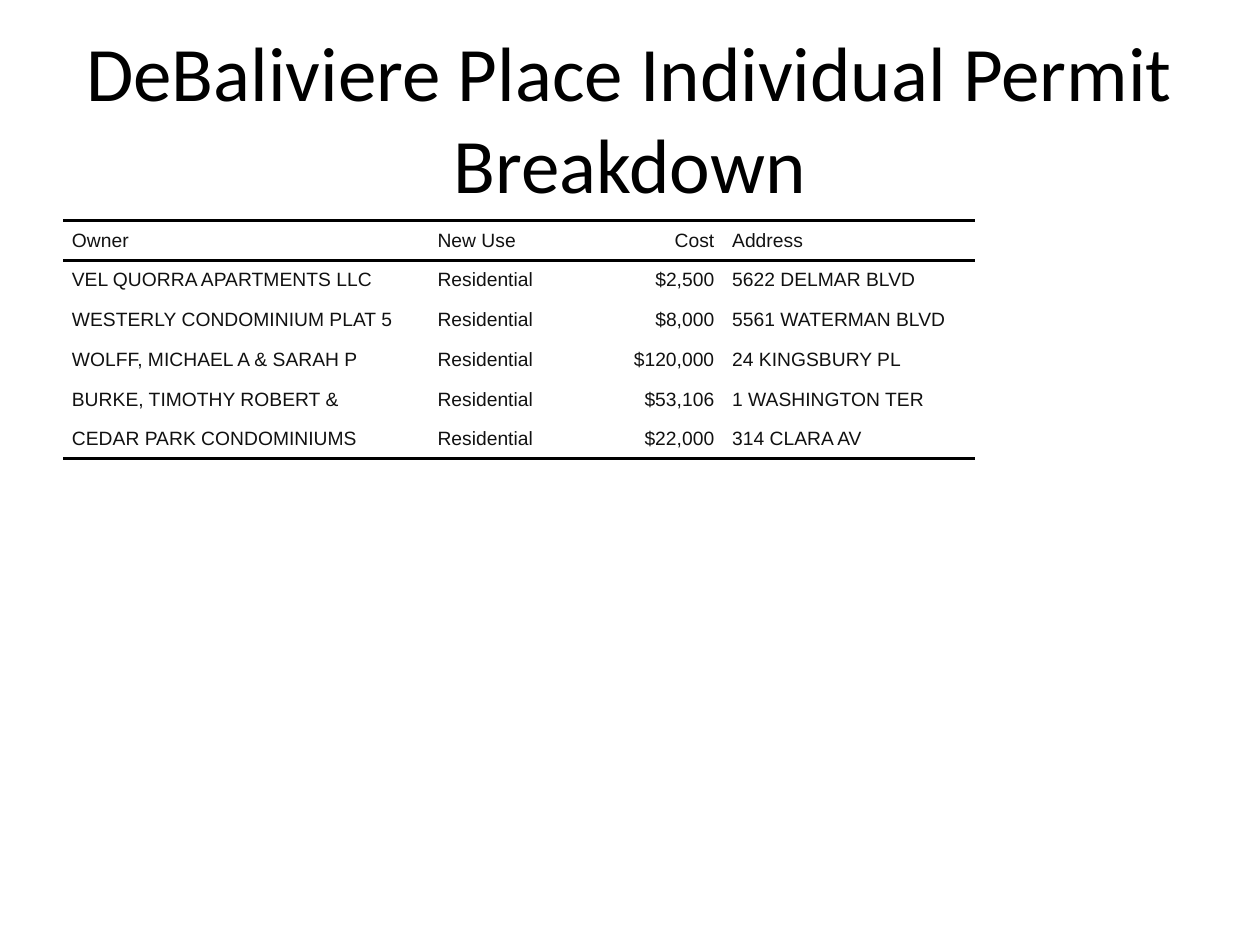
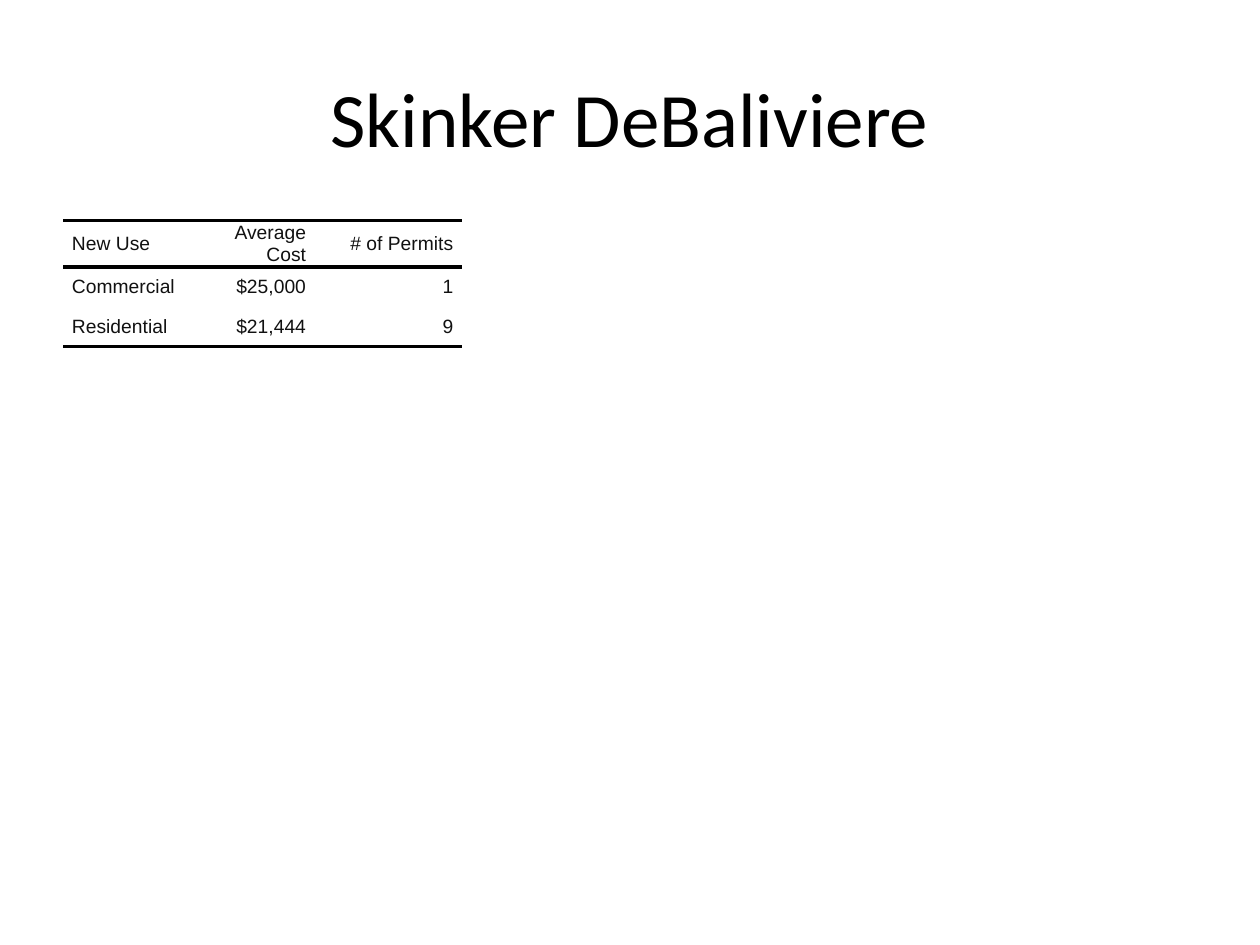
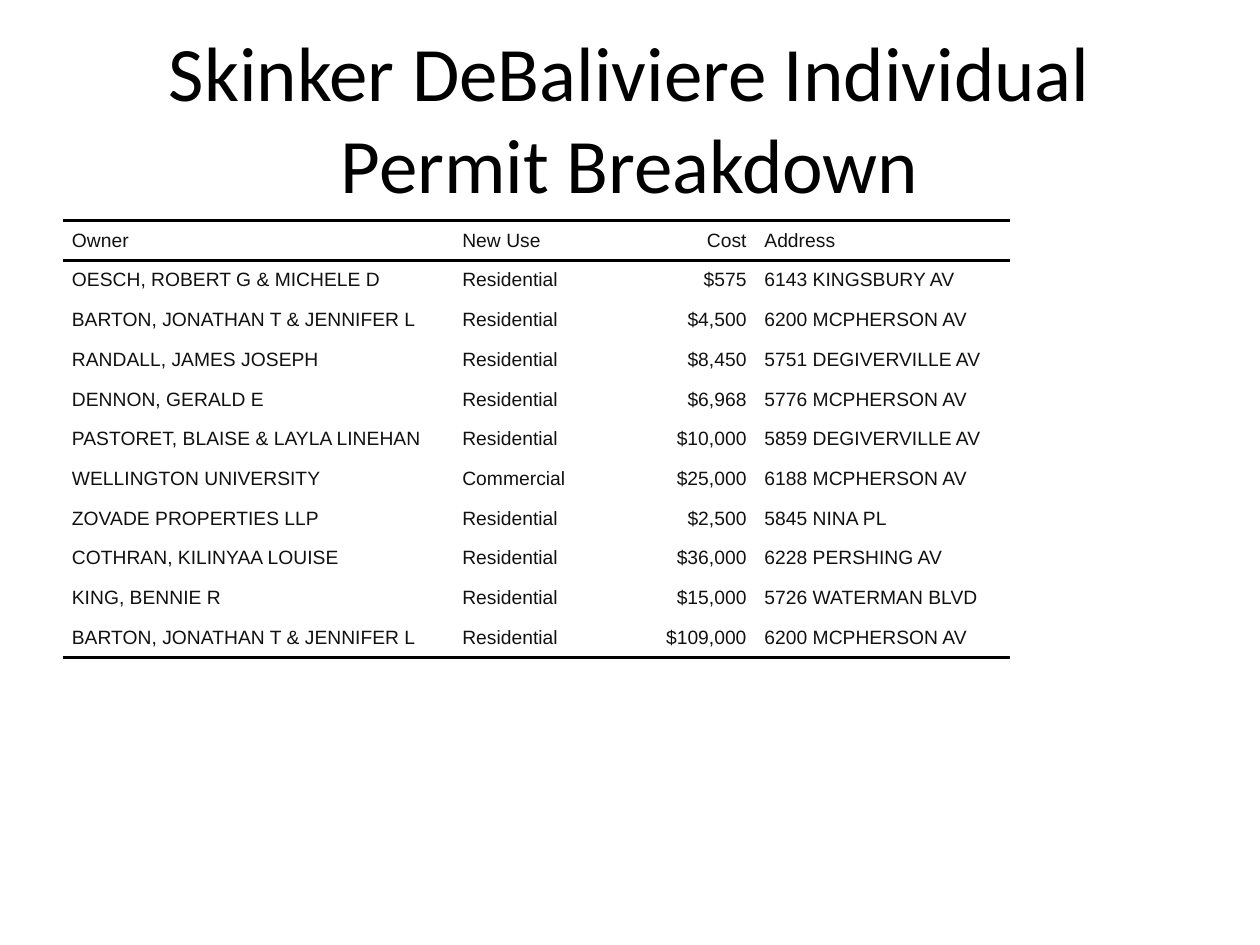
from lxml import etree
from pptx import Presentation
from pptx.dml.color import RGBColor
from pptx.enum.text import MSO_ANCHOR, PP_ALIGN
from pptx.oxml.ns import qn
from pptx.util import Cm, Pt

LEFT, CENTER, RIGHT = PP_ALIGN.LEFT, PP_ALIGN.CENTER, PP_ALIGN.RIGHT
MIDDLE = MSO_ANCHOR.MIDDLE
BLACK, INK = "000000", "111111"
ROW_HEIGHT = Cm(0.8)
CELL_INDENT = Cm(0.18)


def style(p, font, size, color, align):
    p.font.name = font
    p.font.size = Pt(size)
    p.font.color.rgb = RGBColor.from_string(color)
    p.alignment = align


def add_border(cell, side, ruled):
    ln = etree.SubElement(cell._tc.get_or_add_tcPr(), qn(f"a:{side}"))
    if ruled:
        ln.set("w", str(Pt(2)))
        fill = etree.SubElement(ln, qn("a:solidFill"))
        etree.SubElement(fill, qn("a:srgbClr"), val=BLACK)
    else:
        etree.SubElement(ln, qn("a:noFill"))


OWNER_HEADER = ("Owner", "New Use", "Cost", "Address")
RIGHT_ALIGNED = ("Cost", "Average Cost", "# of Permits")

slides = [
    ("DeBaliviere Place Individual Permit Breakdown", (7.37, 2.64, 3.3, 5.08), [
        OWNER_HEADER,
        ("VEL QUORRA APARTMENTS LLC", "Residential", "$2,500", "5622 DELMAR BLVD"),
        ("WESTERLY CONDOMINIUM PLAT 5", "Residential", "$8,000", "5561 WATERMAN BLVD"),
        ("WOLFF, MICHAEL A & SARAH P", "Residential", "$120,000", "24 KINGSBURY PL"),
        ("BURKE, TIMOTHY ROBERT &", "Residential", "$53,106", "1 WASHINGTON TER"),
        ("CEDAR PARK CONDOMINIUMS", "Residential", "$22,000", "314 CLARA AV"),
    ]),
    ("Skinker DeBaliviere", (2.79, 2.29, 2.97), [
        ("New Use", "Average Cost", "# of Permits"),
        ("Commercial", "$25,000", "1"),
        ("Residential", "$21,444", "9"),
    ]),
    ("Skinker DeBaliviere Individual Permit Breakdown", (7.87, 2.79, 3.3, 5.13), [
        OWNER_HEADER,
        ("OESCH, ROBERT G & MICHELE D", "Residential", "$575", "6143 KINGSBURY AV"),
        ("BARTON, JONATHAN T & JENNIFER L", "Residential", "$4,500", "6200 MCPHERSON AV"),
        ("RANDALL, JAMES JOSEPH", "Residential", "$8,450", "5751 DEGIVERVILLE AV"),
        ("DENNON, GERALD E", "Residential", "$6,968", "5776 MCPHERSON AV"),
        ("PASTORET, BLAISE & LAYLA LINEHAN", "Residential", "$10,000", "5859 DEGIVERVILLE AV"),
        ("WELLINGTON UNIVERSITY", "Commercial", "$25,000", "6188 MCPHERSON AV"),
        ("ZOVADE PROPERTIES LLP", "Residential", "$2,500", "5845 NINA PL"),
        ("COTHRAN, KILINYAA LOUISE", "Residential", "$36,000", "6228 PERSHING AV"),
        ("KING, BENNIE R", "Residential", "$15,000", "5726 WATERMAN BLVD"),
        ("BARTON, JONATHAN T & JENNIFER L", "Residential", "$109,000", "6200 MCPHERSON AV"),
    ]),
]

prs = Presentation()
prs.slide_width, prs.slide_height = Cm(25.4), Cm(19.05)

for title, widths, rows in slides:
    s = prs.slides.add_slide(prs.slide_layouts[6])
    tf = s.shapes.add_textbox(Cm(1.27), Cm(0.76), Cm(22.86), Cm(3.18)).text_frame
    tf.word_wrap = True
    tf.vertical_anchor = MIDDLE
    p = tf.paragraphs[0]
    p.text = title
    style(p, "Calibri", 44, BLACK, CENTER)

    table = s.shapes.add_table(len(rows), len(widths), Cm(1.27), Cm(4.45),
                               Cm(sum(widths)), ROW_HEIGHT * len(rows)).table
    table.first_row = False
    table.horz_banding = False
    for column, width in zip(table.columns, widths):
        column.width = Cm(width)

    for i, row in enumerate(rows):
        table.rows[i].height = ROW_HEIGHT
        for j, text in enumerate(row):
            cell = table.cell(i, j)
            cell.margin_left = cell.margin_right = 0
            cell.margin_top = cell.margin_bottom = 0
            cell.vertical_anchor = MIDDLE
            p = cell.text_frame.paragraphs[0]
            p.text = text
            style(p, "Arial", 11, INK, RIGHT if rows[0][j] in RIGHT_ALIGNED else LEFT)
            p.space_before = p.space_after = Pt(2)
            pPr = p._p.get_or_add_pPr()
            for name in ("marL", "marR"):
                pPr.set(name, str(CELL_INDENT))
            pPr.set("indent", "0")
            add_border(cell, "lnL", False)
            add_border(cell, "lnR", False)
            add_border(cell, "lnT", i in (0, 1))
            add_border(cell, "lnB", i in (0, len(rows) - 1))
            cell.fill.background()

prs.save("out.pptx")
